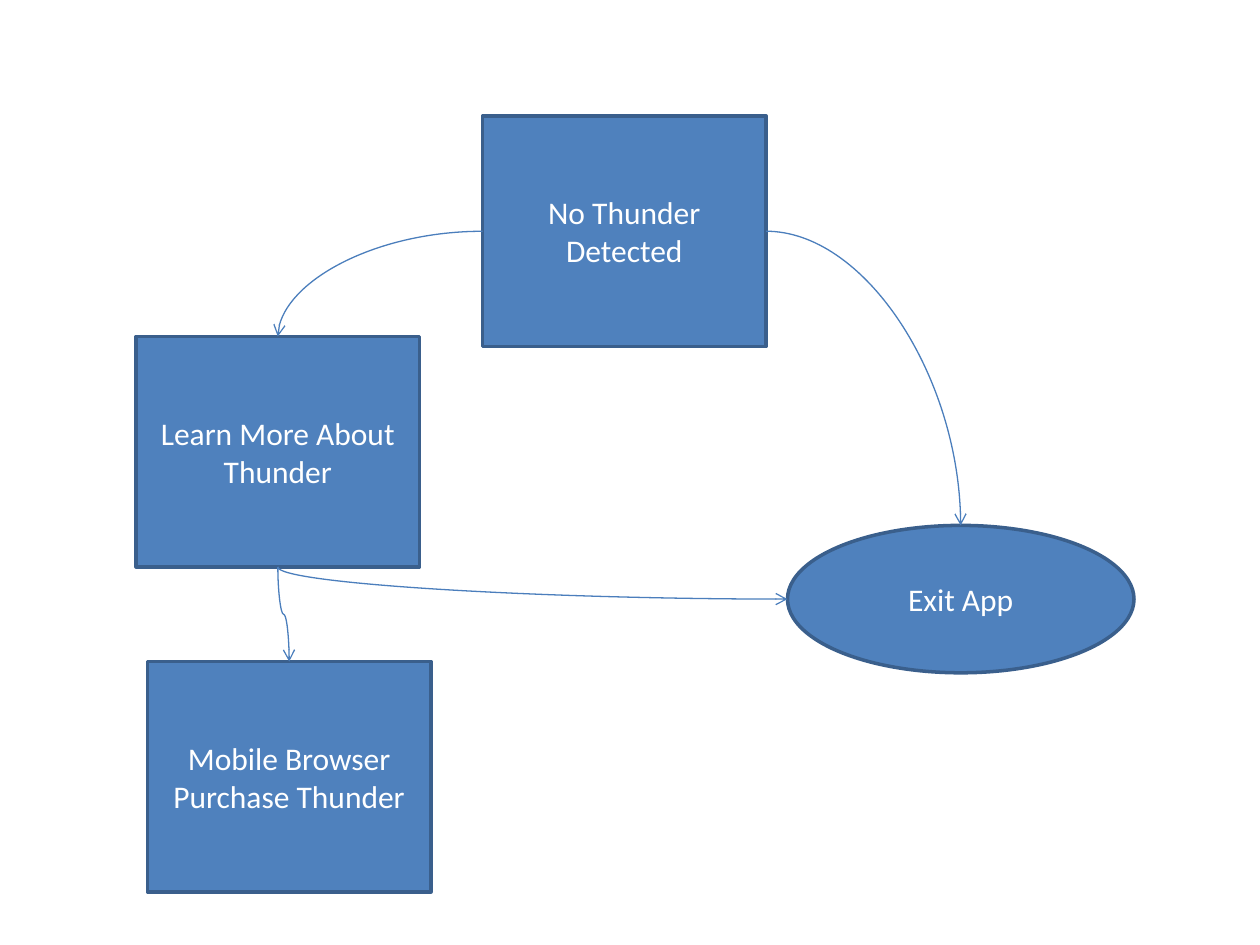
from lxml import etree
from pptx import Presentation
from pptx.dml.color import RGBColor
from pptx.enum import shapes, text
from pptx.oxml.ns import qn
from pptx.util import Inches, Pt


def color(value):
    return RGBColor.from_string(value)


prs = Presentation()
prs.slide_width, prs.slide_height = Inches(10), Inches(7.5)
s = prs.slides.add_slide(prs.slide_layouts[6])

# Steps of the flow
RECT, OVAL = shapes.MSO_SHAPE.RECTANGLE, shapes.MSO_SHAPE.OVAL
steps = [
    ("start", RECT, 3.83, 0.92, 2.25, 1.83, "No Thunder Detected"),
    ("learn", RECT, 1.08, 2.67, 2.25, 1.83, "Learn More About Thunder"),
    ("exit", OVAL, 6.25, 4.17, 2.75, 1.17, "Exit App"),
    ("browser", RECT, 1.17, 5.25, 2.25, 1.83, "Mobile Browser Purchase Thunder"),
]
nodes = {}
for name, kind, x, y, w, h, label in steps:
    sp = s.shapes.add_shape(kind, Inches(x), Inches(y), Inches(w), Inches(h))
    sp.shadow.inherit = False
    sp.fill.solid()
    sp.fill.fore_color.rgb = color("4F81BD")
    sp.line.color.rgb = color("3A5F8C")
    sp.line.width = Pt(2)
    tf = sp.text_frame
    tf.word_wrap = True
    tf.vertical_anchor = text.MSO_ANCHOR.MIDDLE
    p = tf.paragraphs[0]
    p.text = label
    p.alignment = text.PP_ALIGN.CENTER
    p.font.name, p.font.size = "Calibri", Pt(18)
    p.font.color.rgb = color("FFFFFF")
    nodes[name] = sp

# Curved arrows: start, site, end, site, preset, rotation, flip
TOP, LEFT, BOTTOM, RIGHT, OVAL_LEFT = 0, 1, 2, 3, 2
arrows = [
    ("start", RIGHT, "exit", TOP, "curvedConnector2", 0, None),
    ("start", LEFT, "learn", TOP, "curvedConnector2", 180, "flipV"),
    ("learn", BOTTOM, "exit", OVAL_LEFT, "curvedConnector2", 270, "flipH"),
    ("learn", BOTTOM, "browser", TOP, "curvedConnector3", 270, "flipH"),
]
side = {TOP: (0.5, 0), LEFT: (0, 0.5), BOTTOM: (0.5, 1), RIGHT: (1, 0.5)}
for start, site1, end, site2, preset, angle, flip in arrows:
    a, b = nodes[start], nodes[end]
    fx1, fy1 = side[site1]
    fx2, fy2 = side[LEFT if (end, site2) == ("exit", OVAL_LEFT) else site2]
    x1, y1 = a.left + a.width * fx1, a.top + a.height * fy1
    x2, y2 = b.left + b.width * fx2, b.top + b.height * fy2
    c = s.shapes.add_connector(shapes.MSO_CONNECTOR.CURVE, 0, 0, 0, 0)
    c.begin_connect(a, site1)
    c.end_connect(b, site2)

    # Frame before rotation: a quarter turn swaps width and height
    w, h = abs(x2 - x1), abs(y2 - y1)
    if angle == 270:
        w, h = h, w
    c.left, c.top = int((x1 + x2 - w) / 2), int((y1 + y2 - h) / 2)
    c.width, c.height = int(w), int(h)
    xfrm = c._element.spPr.find(qn("a:xfrm"))
    for key in ("flipH", "flipV"):
        xfrm.attrib.pop(key, None)
    if flip:
        xfrm.set(flip, "1")
        xfrm.set("rot", str(angle * 60000))
    c._element.spPr.find(qn("a:prstGeom")).set("prst", preset)

    c.line.color.rgb = color("4B7EBC")
    c.line.width = Pt(0.75)
    etree.SubElement(c.line._get_or_add_ln(), qn("a:tailEnd")).set("type", "arrow")
    etree.SubElement(c._element.spPr, qn("a:effectLst"))

prs.save("out.pptx")
